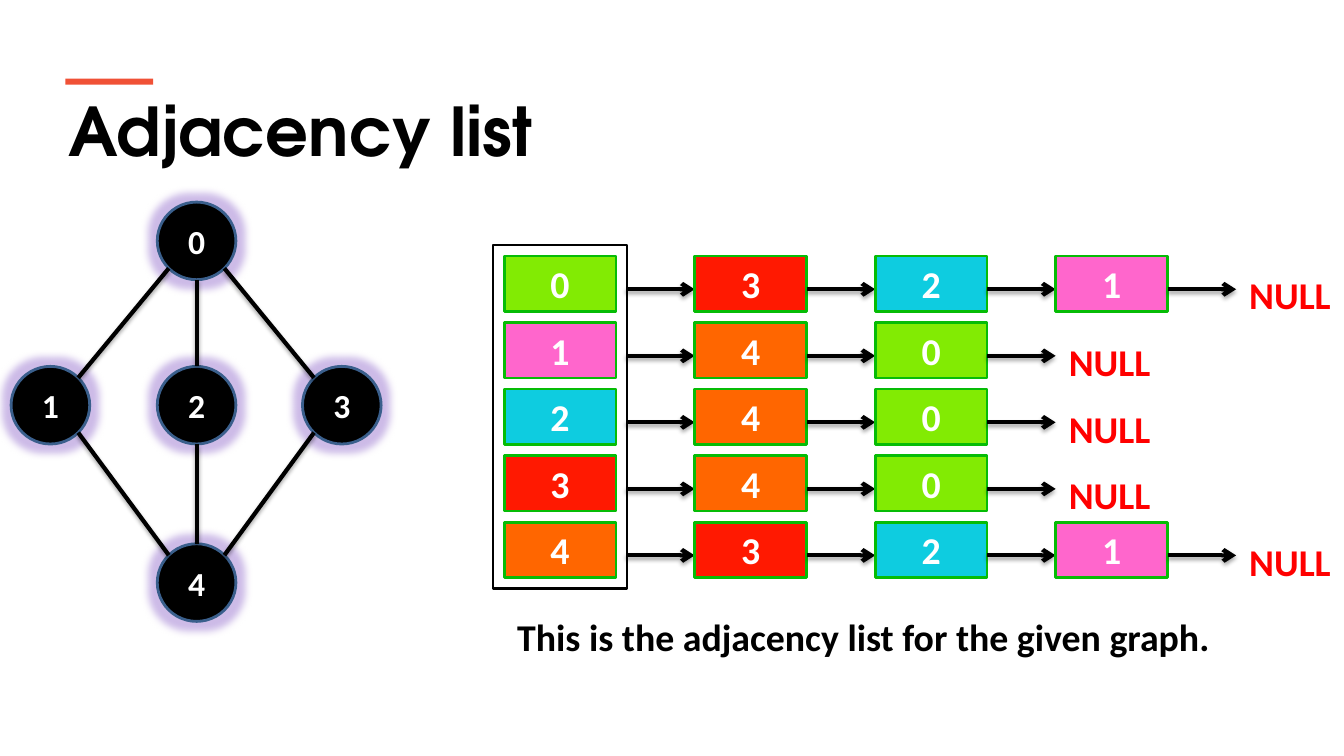
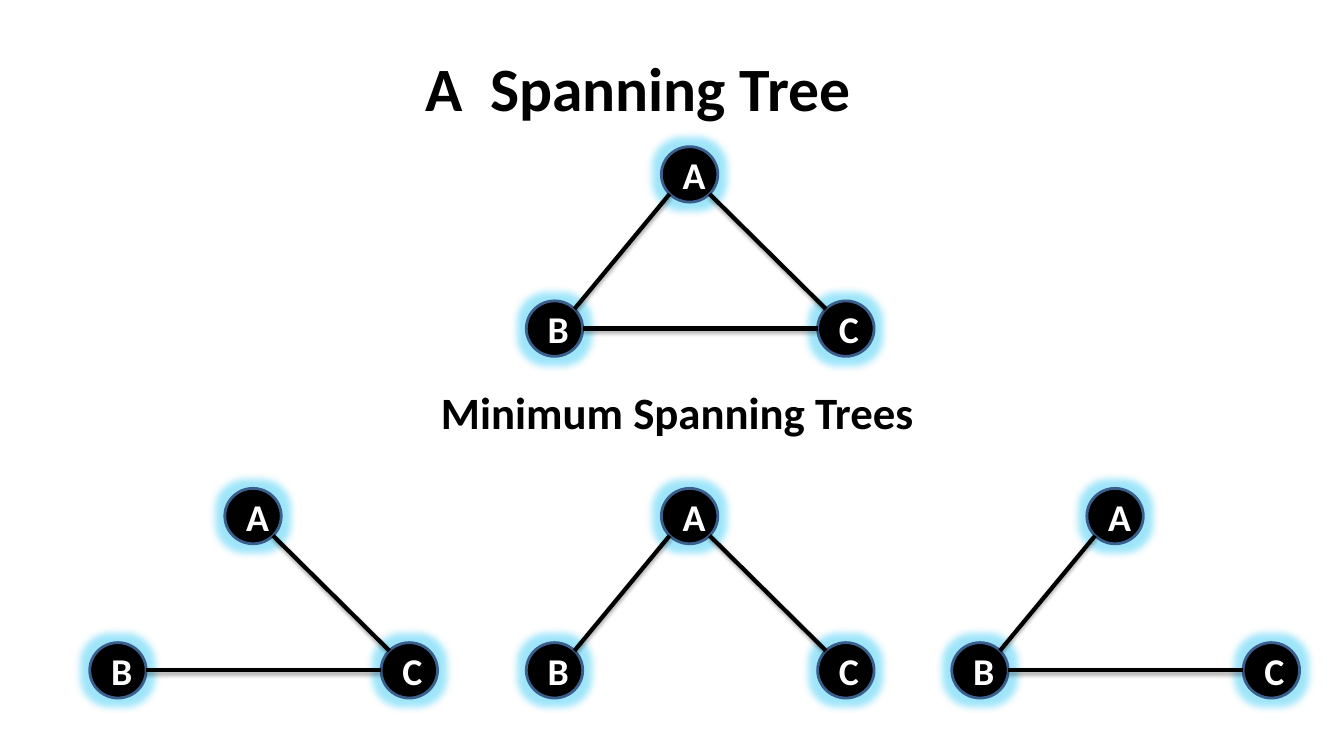
"""Build two slides on graphs: an adjacency list and spanning trees."""
from dataclasses import dataclass
from math import sqrt
from typing import NamedTuple

from lxml.etree import SubElement
from pptx import Presentation
from pptx.dml.color import RGBColor
from pptx.enum.shapes import MSO_CONNECTOR, MSO_SHAPE
from pptx.enum.text import MSO_ANCHOR, MSO_AUTO_SIZE, PP_ALIGN
from pptx.oxml.ns import qn
from pptx.shapes.autoshape import Shape
from pptx.slide import Slide
from pptx.util import Inches, Pt

COLOURS = {
    "ink": "000000", "paper": "FFFFFF", "accent": "F05136", "null": "FF0000",
    "node_line": "3A5F8C", "box_line": "06BC06", "lilac": "8255C5", "cyan": "0FC0F5",
}
VERTEX_FILLS = {0: "82EB03", 1: "FF66CC", 2: "0ECCE0", 3: "FF1901", 4: "FF6600"}
COLOURS.update({f"vertex{vertex}": fill for vertex, fill in VERTEX_FILLS.items()})

WIDE_INSETS = (0.13, 0.07)
PLAIN_INSETS = (0.1, 0.05)


class Box(NamedTuple):
    """Left, top, width and height in inches."""
    left: float
    top: float
    width: float
    height: float


class Point(NamedTuple):
    """A place on the slide in inches."""
    x: float
    y: float


@dataclass(frozen=True)
class TextStyle:
    """The look of a bold text and how it sits in its shape."""
    size: float
    colour: str = "ink"
    font: str = "Calibri"
    align: PP_ALIGN = PP_ALIGN.CENTER
    anchor: MSO_ANCHOR = MSO_ANCHOR.MIDDLE
    insets: tuple[float, float] = WIDE_INSETS
    wrap: bool = True
    grow: bool = False


@dataclass(frozen=True)
class Graph:
    """Vertices on grid columns and rows, with the edges between them."""
    columns: tuple[float, ...]
    rows: tuple[float, ...]
    cells: dict[str, tuple[int, int]]
    edges: tuple[str, ...]
    width: float
    height: float
    style: TextStyle
    glow: str

    def center(self, label: str) -> Point:
        """Return the middle of a vertex."""
        column, row = self.cells[label]
        return Point(self.columns[column], self.rows[row])

    def rim(self, label: str, toward: str) -> Point:
        """Return the eighth of a vertex's rim that faces another vertex."""
        here, there = self.center(label), self.center(toward)
        across = (there.x > here.x) - (there.x < here.x)
        down = (there.y > here.y) - (there.y < here.y)
        reach = 2 * sqrt(abs(across) + abs(down))
        return Point(here.x + across * self.width / reach, here.y + down * self.height / reach)


@dataclass(frozen=True)
class ListGrid:
    """Columns and rows of the adjacency list."""
    head: float = 5
    left: float = 6.89
    top: float = 2.54
    column_pitch: float = 1.79
    row_pitch: float = 0.66
    box_width: float = 1.11
    box_height: float = 0.55
    margin: float = 0.11

    def cell(self, column: int, row: int) -> Box:
        """Return one box; column 0 holds the list heads."""
        left = self.left + (column - 1) * self.column_pitch if column else self.head
        return Box(left, self.top + row * self.row_pitch, self.box_width, self.box_height)

    def frame(self, rows: int) -> Box:
        """Return the frame around the list heads."""
        height = (rows - 1) * self.row_pitch + self.box_height
        return Box(self.head - self.margin, self.top - self.margin,
                   self.box_width + 2 * self.margin, height + 2 * self.margin)


HEADING = TextStyle(48, font="TeX Gyre Adventor", align=PP_ALIGN.LEFT,
                    anchor=MSO_ANCHOR.TOP, insets=PLAIN_INSETS, grow=True)
TITLE = TextStyle(44, insets=PLAIN_INSETS)
SUBTITLE = TextStyle(32, anchor=MSO_ANCHOR.TOP, wrap=False, grow=True)
CAPTION = TextStyle(27, align=PP_ALIGN.LEFT, anchor=MSO_ANCHOR.TOP, wrap=False, grow=True)
NULL = TextStyle(27, "null", align=PP_ALIGN.LEFT, anchor=MSO_ANCHOR.TOP, wrap=False, grow=True)
BOX_LABEL = TextStyle(27, "paper")
SMALL_LABEL = TextStyle(24, "paper")

ADJACENCY = {0: (3, 2, 1), 1: (4, 0), 2: (4, 0), 3: (4, 0), 4: (3, 2, 1)}
DIAMOND = Graph(
    columns=(0.5, 1.95, 3.39), rows=(2.39, 4.02, 5.78),
    cells={"0": (1, 0), "4": (1, 2), "1": (0, 1), "2": (1, 1), "3": (2, 1)},
    edges=("01", "41", "30", "43", "24", "02"),
    width=0.78, height=0.77, style=SMALL_LABEL, glow="lilac")
TRIANGLES = (
    (5.5, 1.73, ("BA", "CA", "CB")),
    (5.5, 5.12, ("BA", "CA")),
    (9.72, 5.12, ("BA", "CB")),
    (1.17, 5.12, ("CA", "CB")),
)


def colour(name: str) -> RGBColor:
    """Look up a named colour."""
    return RGBColor.from_string(COLOURS[name])


def write(shape: Shape, text: str, style: TextStyle) -> None:
    """Put one styled run into a shape."""
    frame = shape.text_frame
    frame.word_wrap = style.wrap
    frame.auto_size = MSO_AUTO_SIZE.SHAPE_TO_FIT_TEXT if style.grow else MSO_AUTO_SIZE.NONE
    frame.vertical_anchor = style.anchor
    frame.margin_left = frame.margin_right = Inches(style.insets[0])
    frame.margin_top = frame.margin_bottom = Inches(style.insets[1])
    paragraph = frame.paragraphs[0]
    paragraph.alignment = style.align
    run = paragraph.add_run()
    run.text = text
    run.font.name, run.font.size, run.font.bold = style.font, Pt(style.size), True
    run.font.color.rgb = colour(style.colour)


def add_text(slide: Slide, box: Box, text: str, style: TextStyle) -> None:
    """Add a text box."""
    write(slide.shapes.add_textbox(*map(Inches, box)), text, style)


def add_shape(slide: Slide, kind: MSO_SHAPE, box: Box,
              fill: str | None, line: str | None) -> Shape:
    """Add a preset shape without a shadow."""
    shape = slide.shapes.add_shape(kind, *map(Inches, box))
    shape.shadow.inherit = False
    if fill:
        shape.fill.solid()
        shape.fill.fore_color.rgb = colour(fill)
    else:
        shape.fill.background()
    if line:
        shape.line.color.rgb = colour(line)
        shape.line.width = Pt(2)
    else:
        shape.line.fill.background()
    return shape


def add_effect(parent, kind: str, name: str, alpha: int, **settings: str) -> None:
    """Append a translucent effect to an effect list."""
    effect = SubElement(parent, qn(f"a:{kind}"), settings)
    tint = SubElement(effect, qn("a:srgbClr"), val=COLOURS[name])
    SubElement(tint, qn("a:alpha"), val=str(alpha * 1000))


def add_line(slide: Slide, start: Point, end: Point, arrow: bool = False) -> None:
    """Add a straight line with a soft shadow and an optional arrowhead."""
    connector = slide.shapes.add_connector(
        MSO_CONNECTOR.STRAIGHT, *map(Inches, (*start, *end)))
    connector.line.color.rgb = colour("ink")
    connector.line.width = Pt(3)
    properties = connector.element.spPr
    if arrow:
        SubElement(properties.find(qn("a:ln")), qn("a:tailEnd"), type="arrow")
    add_effect(SubElement(properties, qn("a:effectLst")), "outerShdw", "ink", 35,
               blurRad=str(Pt(3.1)), dist=str(Pt(1.8)), dir="5400000", rotWithShape="0")


def add_graph(slide: Slide, graph: Graph) -> None:
    """Draw the glowing vertices of a graph, then its edges."""
    for label in graph.cells:
        center = graph.center(label)
        box = Box(center.x - graph.width / 2, center.y - graph.height / 2,
                  graph.width, graph.height)
        node = add_shape(slide, MSO_SHAPE.OVAL, box, "ink", "node_line")
        add_effect(node.element.spPr.find(qn("a:effectLst")), "glow", graph.glow, 40,
                   rad=str(Pt(11)))
        write(node, label, graph.style)
    for start, end in graph.edges:
        add_line(slide, graph.rim(start, end), graph.rim(end, start))


def add_adjacency_list(slide: Slide, grid: ListGrid) -> None:
    """Draw each vertex with the chain of its neighbours."""
    add_shape(slide, MSO_SHAPE.RECTANGLE, grid.frame(len(ADJACENCY)), None, "ink")
    gap = grid.column_pitch - grid.box_width
    for row, (head, neighbours) in enumerate(ADJACENCY.items()):
        for column, vertex in enumerate((head, *neighbours)):
            box = grid.cell(column, row)
            shape = add_shape(slide, MSO_SHAPE.RECTANGLE, box, f"vertex{vertex}", "box_line")
            write(shape, str(vertex), BOX_LABEL)
            following = grid.cell(column + 1, row)
            arrow_y = box.top + 0.6 * box.height
            add_line(slide, Point(following.left - gap, arrow_y),
                     Point(following.left, arrow_y), arrow=True)
        add_text(slide, Box(following.left, following.top + 0.09, 1.08, 0.59), "NULL", NULL)


def build_adjacency_slide(slide: Slide) -> None:
    """Fill the adjacency list slide."""
    add_graph(slide, DIAMOND)
    add_adjacency_list(slide, ListGrid())
    add_text(slide, Box(5, 6.02, 7.21, 0.59),
             "This is the adjacency list for the given graph.", CAPTION)
    add_text(slide, Box(0.58, 0.84, 12.18, 0.91), "Adjacency list", HEADING)
    add_shape(slide, MSO_SHAPE.RECTANGLE, Box(0.65, 0.78, 0.87, 0.06), "accent", None)


def build_spanning_slide(slide: Slide) -> None:
    """Fill the spanning tree slide."""
    add_text(slide, Box(0.33, 0.24, 12, 1.25), "A  Spanning Tree", TITLE)
    for left, top, edges in TRIANGLES:
        add_graph(slide, Graph(
            columns=(left, left + 1.34, left + 2.89), rows=(top, top + 1.53),
            cells={"A": (1, 0), "B": (0, 1), "C": (2, 1)}, edges=edges,
            width=0.56, height=0.55, style=BOX_LABEL, glow="cyan"))
    add_text(slide, Box(4.17, 3.75, 5.1, 0.67), "Minimum Spanning Trees", SUBTITLE)


def main() -> None:
    """Build and save the presentation."""
    presentation = Presentation()
    presentation.slide_width, presentation.slide_height = Inches(13.33), Inches(7.5)
    for build in (build_adjacency_slide, build_spanning_slide):
        build(presentation.slides.add_slide(presentation.slide_layouts[6]))
    presentation.save("out.pptx")


if __name__ == "__main__":
    main()
